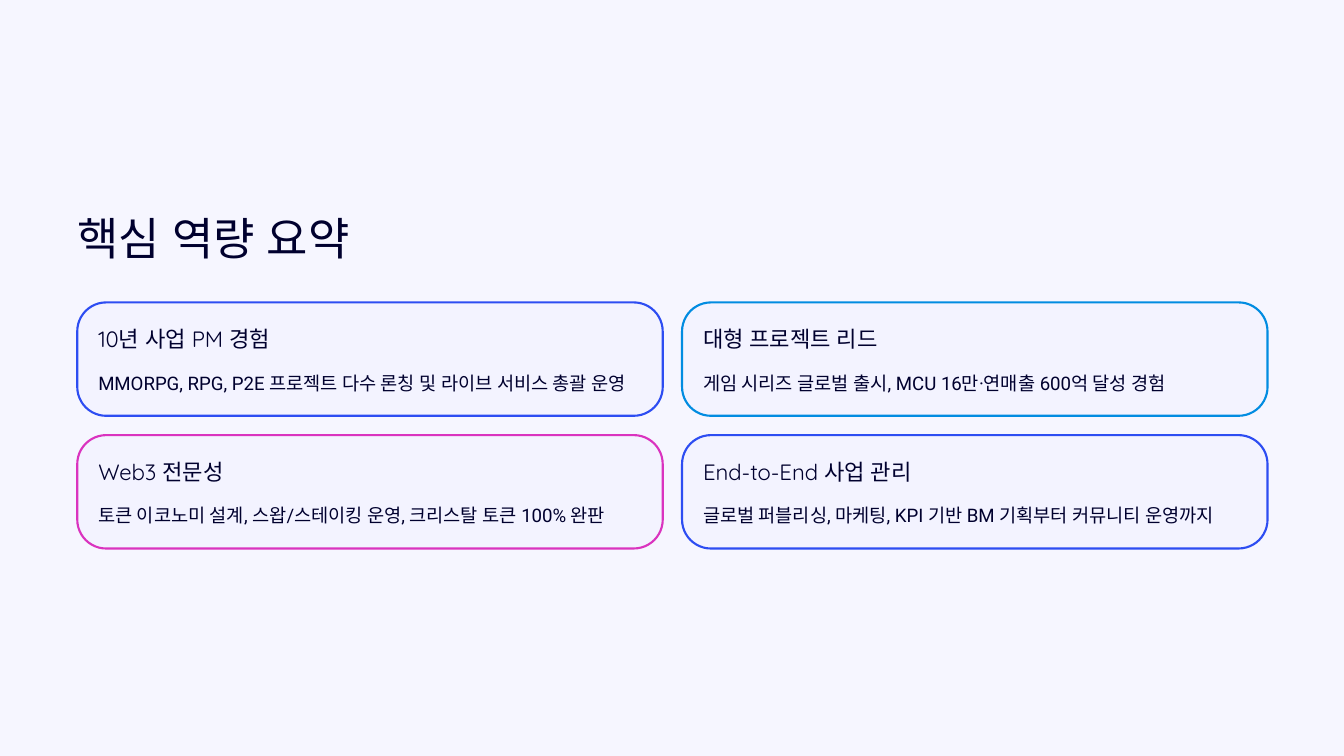
from dataclasses import dataclass

from lxml import etree
from pptx import Presentation
from pptx import util as u
from pptx.dml.color import RGBColor
from pptx.enum import shapes, text
from pptx.oxml.ns import qn


@dataclass(frozen=True)
class Theme:
    page: str = "F6F6FF"
    card: str = "F3F3FF"
    ink: str = "00002E"
    blue: str = "2D4DF2"
    sky: str = "018CE1"
    pink: str = "DA33BF"
    heading_font: str = "Quicksand"
    body_font: str = "Roboto"
    title_size: float = 38.5
    heading_size: float = 19
    body_size: float = 16


def write(box, words, *, font, size, leading, color):
    frame = box.text_frame
    frame.margin_left = frame.margin_top = 0
    frame.margin_right = frame.margin_bottom = 0
    frame.word_wrap = False
    frame.auto_size = text.MSO_AUTO_SIZE.NONE
    frame.vertical_anchor = text.MSO_ANCHOR.TOP
    para = frame.paragraphs[0]
    para.alignment = text.PP_ALIGN.LEFT
    para.line_spacing = u.Pt(leading)
    para.space_before = u.Pt(0)
    span = para.add_run()
    span.text = words
    span.font.name = font
    span.font.size = u.Pt(size)
    span.font.color.rgb = RGBColor.from_string(color)
    # Hangul follows the East Asian typeface
    etree.SubElement(span.font._element, qn("a:ea"), typeface=font)


class Painter:
    def __init__(self, deck, theme):
        self.theme = theme
        self.page = deck.slides.add_slide(deck.slide_layouts[5])
        fill = self.page.background.fill
        fill.solid()
        fill.fore_color.rgb = RGBColor.from_string(theme.page)

    def title(self, words, left, top, width, height):
        box = self.page.shapes.title
        box.left, box.top = u.Inches(left), u.Inches(top)
        box.width, box.height = u.Inches(width), u.Inches(height)
        write(box, words, font=self.theme.heading_font,
              size=self.theme.title_size, leading=48.5, color=self.theme.ink)

    def label(self, words, left, top, width, height, **style):
        box = self.page.shapes.add_textbox(
            u.Inches(left), u.Inches(top), u.Inches(width), u.Inches(height))
        write(box, words, color=self.theme.ink, **style)

    def card(self, heading, body, color, left, top):
        box = self.page.shapes.add_shape(
            shapes.MSO_SHAPE.ROUNDED_RECTANGLE,
            u.Inches(left), u.Inches(top), u.Inches(6.97), u.Inches(1.35))
        box.adjustments[0] = 0.255
        box.shadow.inherit = False
        box.fill.solid()
        box.fill.fore_color.rgb = RGBColor.from_string(self.theme.card)
        box.line.color.rgb = RGBColor.from_string(color)
        box.line.width = u.Pt(1.8)
        self.label(heading, left + 0.25, top + 0.26, 2.69, 0.34,
                   font=self.theme.heading_font,
                   size=self.theme.heading_size, leading=24)
        self.label(body, left + 0.25, top + 0.73, 6.46, 0.37,
                   font=self.theme.body_font,
                   size=self.theme.body_size, leading=26)


def main():
    deck = Presentation()
    deck.slide_width, deck.slide_height = u.Inches(16), u.Inches(9)
    theme = Theme()
    painter = Painter(deck, theme)

    # Title
    painter.title("핵심 역량 요약", 0.92, 2.47, 5.39, 0.67)

    # Strength cards, two per row
    strengths = [
        ("10년 사업 PM 경험",
         "MMORPG, RPG, P2E 프로젝트 다수 론칭 및 라이브 서비스 총괄 운영",
         theme.blue),
        ("대형 프로젝트 리드",
         "게임 시리즈 글로벌 출시, MCU 16만·연매출 600억 달성 경험",
         theme.sky),
        ("Web3 전문성",
         "토큰 이코노미 설계, 스왑/스테이킹 운영, 크리스탈 토큰 100% 완판",
         theme.pink),
        ("End-to-End 사업 관리",
         "글로벌 퍼블리싱, 마케팅, KPI 기반 BM 기획부터 커뮤니티 운영까지",
         theme.blue),
    ]
    for index, (heading, body, color) in enumerate(strengths):
        row, column = divmod(index, 2)
        painter.card(heading, body, color, 0.92 + 7.2 * column, 3.6 + 1.58 * row)

    deck.save("out.pptx")


if __name__ == "__main__":
    main()
